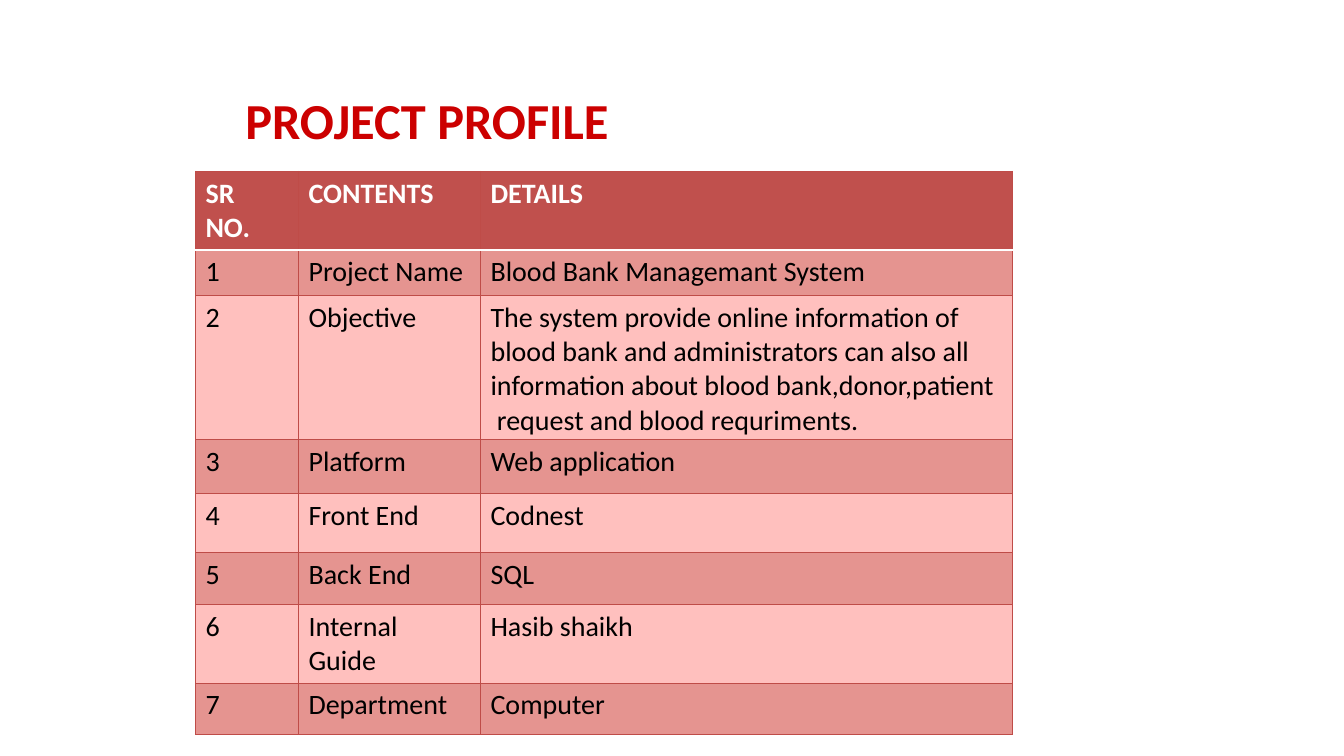
from lxml import etree
from pptx import Presentation
from pptx.dml.color import RGBColor
from pptx.enum.text import MSO_ANCHOR, PP_ALIGN
from pptx.oxml.ns import qn
from pptx.util import Pt

LEFT = PP_ALIGN.LEFT
MIDDLE = MSO_ANCHOR.MIDDLE

FONT = "Calibri"
HEADER_FILL = "C0504D"
BAND_FILLS = ["FFC0BE", "E59490"]
GRID = "BF4C48"
WHITE = "FFFFFF"


def add_text(para, text, size, color, bold):
    para.alignment = LEFT
    span = para.add_run()
    span.text = text
    span.font.name = FONT
    span.font.size = Pt(size)
    span.font.bold = bold
    span.font.color.rgb = RGBColor.from_string(color)


def add_border(cell, side, color, width):
    properties = cell._tc.get_or_add_tcPr()
    line = etree.SubElement(properties, qn(f"a:ln{side}"), w=str(Pt(width)))
    fill = etree.SubElement(line, qn("a:solidFill"))
    etree.SubElement(fill, qn("a:srgbClr"), val=color)


deck = Presentation()
deck.slide_width, deck.slide_height = Pt(960), Pt(540)
page = deck.slides.add_slide(deck.slide_layouts[5])

# Title
title = page.shapes.title
title.left, title.top, title.width, title.height = Pt(168), Pt(60), Pt(282), Pt(51)
title.text_frame.vertical_anchor = MIDDLE
title.text_frame.word_wrap = False
add_text(title.text_frame.paragraphs[0], "PROJECT PROFILE", 36, "CC0000", True)

# Profile table
rows = [
    ("SR\nNO.", "CONTENTS", "DETAILS"),
    ("1", "Project Name", "Blood Bank Managemant System"),
    ("2", "Objective",
     "The system provide online information of\n"
     "blood bank and administrators can also all "
     "information about blood bank,donor,patient\n"
     " request and blood requriments."),
    ("3", "Platform", "Web application"),
    ("4", "Front End", "Codnest"),
    ("5", "Back End", "SQL"),
    ("6", "Internal Guide", "Hasib shaikh"),
    ("7", "Department", "Computer"),
]
column_widths = [73.6, 130, 380.3]
row_heights = [55.2, 32.4, 103, 38.6, 42.2, 37, 55.2, 37]

frame = page.shapes.add_table(len(rows), len(column_widths), Pt(139.6), Pt(122.4),
                              Pt(sum(column_widths)), Pt(sum(row_heights)))
table = frame.table
for column, width in zip(table.columns, column_widths):
    column.width = Pt(width)
for row, height in zip(table.rows, row_heights):
    row.height = Pt(height)

for r, texts in enumerate(rows):
    header = r == 0
    for c, text in enumerate(texts):
        cell = table.cell(r, c)

        # Thin grid, with a white rule under the header
        for side in "LRTB":
            under_header = (r, side) in [(0, "B"), (1, "T")]
            add_border(cell, side, *((WHITE, 1.5) if under_header else (GRID, 0.75)))
        cell.fill.solid()
        fill_color = HEADER_FILL if header else BAND_FILLS[r % 2]
        cell.fill.fore_color.rgb = RGBColor.from_string(fill_color)

        for i, line in enumerate(text.split("\n")):
            body = cell.text_frame
            para = body.add_paragraph() if i else body.paragraphs[0]
            add_text(para, line, 20, WHITE if header else "000000", header)

# The long objective sits close to the bottom of its row
table.cell(2, 2).margin_bottom = Pt(0.5)

deck.save("out.pptx")
